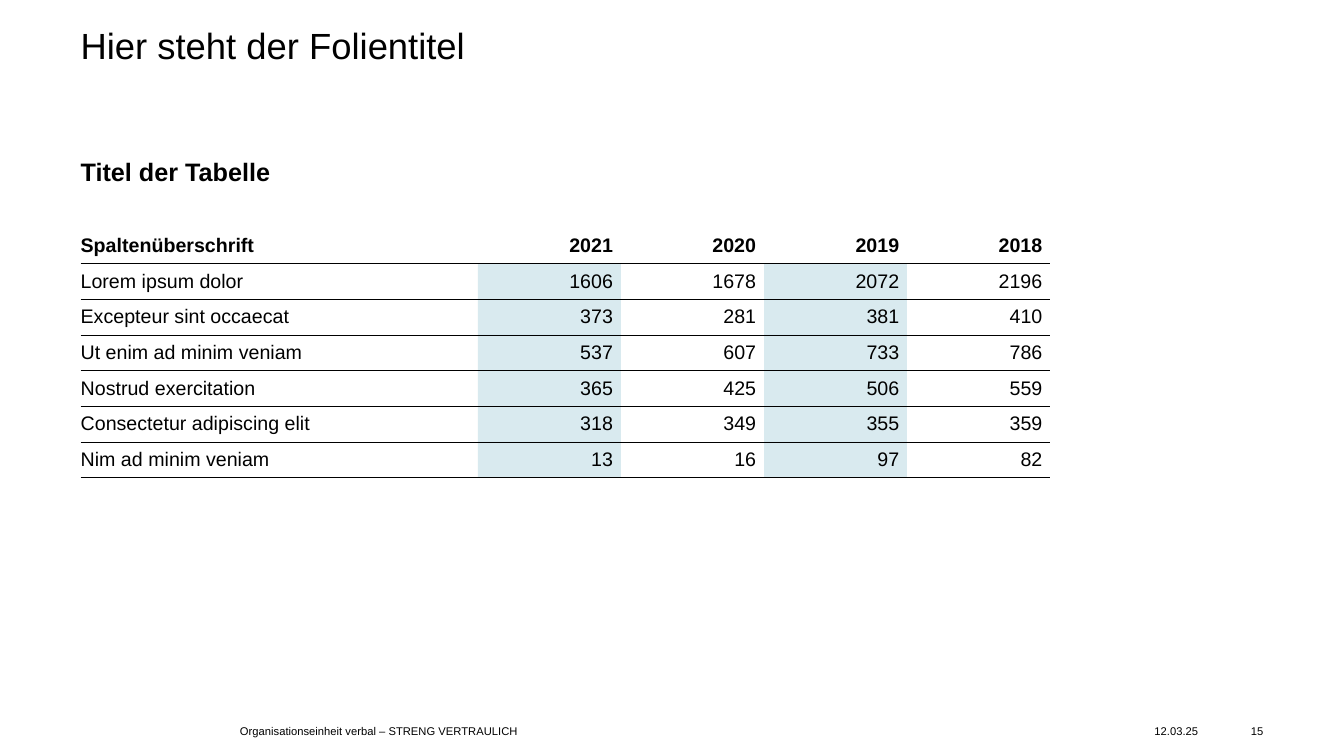
import dataclasses

import lxml.etree
import pptx
import pptx.dml.color
import pptx.enum.text
import pptx.oxml.ns
import pptx.util

Inches = pptx.util.Inches
ALIGN = pptx.enum.text.PP_ALIGN
ANCHOR = pptx.enum.text.MSO_ANCHOR
COLORS = {"text": "000000", "plain": "FFFFFF", "tint": "007894"}
FONT = "Arial"
TINT_ALPHA = 15


@dataclasses.dataclass
class Label:
    text: str
    left: float
    top: float
    width: float
    height: float
    size: float
    bold: bool = False
    align: ALIGN = ALIGN.LEFT
    anchor: ANCHOR = ANCHOR.TOP
    spacing: float = 1.0


@dataclasses.dataclass
class Row:
    name: str
    values: list[int]


LABELS = [
    Label("Hier steht der Folientitel", 0.8, 0.28, 11.73, 0.98, 26, spacing=0.9),
    Label("Titel der Tabelle", 0.8, 1.55, 11.73, 0.43, 18, bold=True),
    Label("Organisationseinheit verbal – STRENG VERTRAULICH",
          2.38, 7.13, 5.91, 0.24, 8, anchor=ANCHOR.MIDDLE),
    Label("12.03.25", 11.45, 7.13, 0.67, 0.24, 8, anchor=ANCHOR.MIDDLE),
    Label("15", 12.18, 7.13, 0.35, 0.24, 8, align=ALIGN.RIGHT, anchor=ANCHOR.MIDDLE),
]

ROWS = [
    Row("Spaltenüberschrift", [2021, 2020, 2019, 2018]),
    Row("Lorem ipsum dolor", [1606, 1678, 2072, 2196]),
    Row("Excepteur sint occaecat", [373, 281, 381, 410]),
    Row("Ut enim ad minim veniam", [537, 607, 733, 786]),
    Row("Nostrud exercitation", [365, 425, 506, 559]),
    Row("Consectetur adipiscing elit", [318, 349, 355, 359]),
    Row("Nim ad minim veniam", [13, 16, 97, 82]),
]
WIDTHS = [3.94] + [1.42] * 4


def rgb(name: str) -> pptx.dml.color.RGBColor:
    return pptx.dml.color.RGBColor.from_string(COLORS[name])


def write(frame, text: str, size: float, bold: bool, align: ALIGN):
    frame.text = text
    para = frame.paragraphs[0]
    para.alignment = align
    font = para.font
    font.name, font.size, font.bold = FONT, pptx.util.Pt(size), bold
    font.color.rgb = rgb("text")
    return para


def add_label(slide, label: Label) -> None:
    box = slide.shapes.add_textbox(
        Inches(label.left), Inches(label.top), Inches(label.width), Inches(label.height))
    frame = box.text_frame
    frame.word_wrap = True
    frame.vertical_anchor = label.anchor
    frame.margin_left = frame.margin_right = frame.margin_top = frame.margin_bottom = 0
    para = write(frame, label.text, label.size, label.bold, label.align)
    para.line_spacing = label.spacing


def add_child(parent, tag: str, **attrs: str):
    return lxml.etree.SubElement(parent, pptx.oxml.ns.qn(tag), attrs)


def set_lines(cell, above: float, below: float) -> None:
    props = cell._tc.get_or_add_tcPr()
    for tag, points in (("a:lnL", 0), ("a:lnR", 0), ("a:lnT", above), ("a:lnB", below)):
        line = add_child(props, tag, w=str(pptx.util.Pt(points)))
        if points:
            add_child(add_child(line, "a:solidFill"), "a:srgbClr", val=COLORS["text"])
        else:
            add_child(line, "a:noFill")


def set_fill(cell, name: str) -> None:
    cell.fill.solid()
    cell.fill.fore_color.rgb = rgb(name)
    if name == "tint":
        color = cell._tc.tcPr.find(".//" + pptx.oxml.ns.qn("a:srgbClr") + "[@val='007894']")
        add_child(color, "a:alpha", val=str(TINT_ALPHA * 1000))


def add_grid(slide) -> None:
    table = slide.shapes.add_table(
        len(ROWS), len(WIDTHS), Inches(0.8), Inches(2.26),
        Inches(sum(WIDTHS)), Inches(2.48)).table
    table.first_row = table.horz_banding = False
    for column, width in zip(table.columns, WIDTHS):
        column.width = Inches(width)
    for r, row in enumerate(ROWS):
        above = (0, 1)[r] if r < 2 else 0.5
        below = 0.5 if r else 1
        for c, value in enumerate([row.name, *row.values]):
            cell = table.cell(r, c)
            cell.margin_left = cell.margin_top = cell.margin_bottom = 0
            cell.margin_right = Inches(0.08)
            cell.vertical_anchor = ANCHOR.MIDDLE
            write(cell.text_frame, str(value), 14, r == 0, ALIGN.RIGHT if c else ALIGN.LEFT)
            set_lines(cell, above, below)
            if r:
                set_fill(cell, "tint" if c % 2 else "plain")
            else:
                cell.fill.background()


def main() -> None:
    deck = pptx.Presentation()
    deck.slide_width, deck.slide_height = Inches(13.33), Inches(7.5)
    slide = deck.slides.add_slide(deck.slide_layouts[6])
    for label in LABELS:
        add_label(slide, label)
    add_grid(slide)
    deck.save("out.pptx")


if __name__ == "__main__":
    main()
